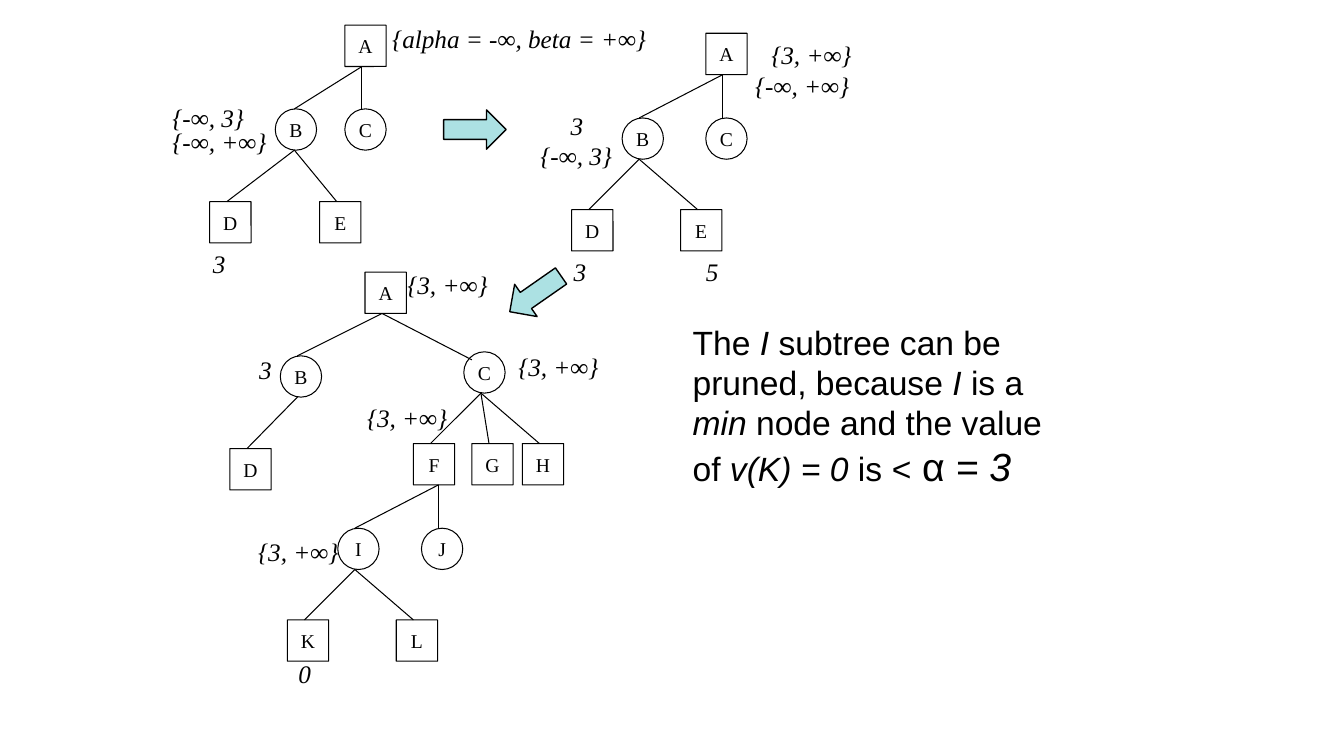
"""Builds a slide that walks through alpha-beta pruning on three game trees."""
from lxml import etree
from pptx import Presentation
from pptx.dml.color import RGBColor
from pptx.enum.shapes import MSO_CONNECTOR, MSO_SHAPE
from pptx.enum.text import MSO_ANCHOR, MSO_AUTO_SIZE, PP_ALIGN
from pptx.oxml.ns import qn
from pptx.util import Inches, Pt

SQUARE, CIRCLE = MSO_SHAPE.ROUNDED_RECTANGLE, MSO_SHAPE.OVAL
ARROW, STRAIGHT = MSO_SHAPE.RIGHT_ARROW, MSO_CONNECTOR.STRAIGHT
CENTER, MIDDLE = PP_ALIGN.CENTER, MSO_ANCHOR.MIDDLE
GROW = MSO_AUTO_SIZE.SHAPE_TO_FIT_TEXT

COLORS = {"ink": "000000", "arrow": "ACE1E3"}
SERIF, SANS = "Times New Roman", "Arial"
NODE, DOCK, INDENT = 0.41, 0.17, 0.04
CIRCLES = "BCIJ"

# name: (left, top, parent)
TREES = [
    {"A": (3.42, 0.25, None), "C": (3.42, 1.08, "A"), "B": (2.73, 1.08, "A"),
     "E": (3.17, 2.0, "B"), "D": (2.08, 2.0, "B")},
    {"A": (7.0, 0.33, None), "C": (7.0, 1.17, "A"), "B": (6.17, 1.17, "A"),
     "E": (6.75, 2.08, "B"), "D": (5.67, 2.08, "B")},
    {"A": (3.62, 2.7, None), "C": (4.6, 3.49, "A"), "B": (2.78, 3.53, "A"),
     "D": (2.28, 4.45, "B"), "H": (5.18, 4.4, "C"), "F": (4.1, 4.4, "C"),
     "G": (4.68, 4.4, "C"), "J": (4.18, 5.24, "F"), "I": (3.35, 5.24, "F"),
     "L": (3.93, 6.15, "I"), "K": (2.85, 6.15, "I")},
]
ENTRY_SHIFTS = {(0, "B"): (0.19, 0), (2, "C"): (0.08, 0.08)}
EXIT_SHIFTS = {(0, "B"): 0.19, (2, "F"): 0.25}

LABELS = [
    ("{alpha = -∞, beta = +∞}", 3.85, 0.23), ("{-∞, 3}", 1.67, 1.02),
    ("{-∞, +∞}", 1.67, 1.25), ("3", 2.07, 2.46),
    ("{3, +∞}", 7.61, 0.39), ("{-∞, +∞}", 7.45, 0.7),
    ("3", 5.62, 1.09), ("{-∞, 3}", 5.32, 1.39),
    ("3", 5.65, 2.54), ("5", 6.96, 2.54),
    ("{3, +∞}", 4.0, 2.67), ("3", 2.53, 3.52), ("{3, +∞}", 5.1, 3.49),
    ("{3, +∞}", 3.6, 3.99), ("{3, +∞}", 2.52, 5.32), ("0", 2.92, 6.53),
]
LABEL_WIDTHS = {"{3, +∞}": 0.92, "{-∞, 3}": 0.84, "{-∞, +∞}": 1.06,
                "{alpha = -∞, beta = +∞}": 2.75}
DIGIT_WIDTH = 0.22
ARROWS = [(4.4, 1.09, 0), (5.0, 2.72, 145.1)]

# text, size, italic
CONCLUSION = [
    ("The", 24, False), (" I ", 24, True),
    ("subtree can be pruned, because ", 24, False), ("I", 24, True),
    (" is a ", 24, False), ("min ", 24, True),
    ("node and the value of", 24, False), (" v(K) = 0 ", 24, True),
    ("is", 24, False), (" <", 24, True), (" α", 28, False), (" = 3", 28, True),
]


def color(name):
    return RGBColor.from_string(COLORS[name])


def style_font(font, name, size, italic=False):
    font.name, font.size, font.italic = name, Pt(size), italic
    font.color.rgb = color("ink")


def set_frame(frame, wrap=False):
    frame.margin_left = frame.margin_right = Inches(INDENT)
    frame.margin_top = frame.margin_bottom = 0
    frame.word_wrap = wrap


def add_outline(page, kind, left, top, width, height, weight):
    shape = page.shapes.add_shape(kind, Inches(left), Inches(top), Inches(width), Inches(height))
    shape.shadow.inherit = False
    shape.line.color.rgb = color("ink")
    shape.line.width = Pt(weight)
    return shape


def add_node(page, name, left, top):
    kind = CIRCLE if name in CIRCLES else SQUARE
    node = add_outline(page, kind, left, top, NODE, NODE, 0.75)
    node.fill.background()
    if kind == SQUARE:
        node.adjustments[0] = 0.004
    set_frame(node.text_frame)
    node.text_frame.vertical_anchor = MIDDLE
    para = node.text_frame.paragraphs[0]
    para.text, para.alignment = name, CENTER
    style_font(para.font, SERIF, 14)


def add_edge(page, start, end):
    edge = page.shapes.add_connector(STRAIGHT, *map(Inches, start + end))
    edge.line.color.rgb = color("ink")
    edge.line.width = Pt(0.75)
    etree.SubElement(edge._element.spPr, qn("a:effectLst"))


def add_tree(page, index, tree):
    for name, (left, top, parent) in tree.items():
        add_node(page, name, left, top)
        if parent:
            parent_left, parent_top, _ = tree[parent]
            across, down = ENTRY_SHIFTS.get((index, name), (DOCK, 0))
            leave = EXIT_SHIFTS.get((index, parent), DOCK)
            add_edge(page, (parent_left + leave, parent_top + NODE), (left + across, top + down))


def add_label(page, text, left, top):
    width = LABEL_WIDTHS.get(text, DIGIT_WIDTH)
    box = page.shapes.add_textbox(Inches(left), Inches(top), Inches(width), Inches(0.3))
    set_frame(box.text_frame, wrap=True)
    box.text_frame.auto_size = GROW
    para = box.text_frame.paragraphs[0]
    para.text = text
    style_font(para.font, SERIF, 18, True)


def add_conclusion(page):
    box = page.shapes.add_textbox(Inches(6.83), Inches(3.19), Inches(3.76), Inches(1.7))
    set_frame(box.text_frame, wrap=True)
    para = box.text_frame.paragraphs[0]
    for text, size, italic in CONCLUSION:
        span = para.add_run()
        span.text = text
        style_font(span.font, SANS, size, italic)


def main():
    deck = Presentation()
    deck.slide_width, deck.slide_height = Inches(13.33), Inches(7.5)
    page = deck.slides.add_slide(deck.slide_layouts[6])
    add_conclusion(page)
    for index, tree in enumerate(TREES):
        add_tree(page, index, tree)
    for label in LABELS:
        add_label(page, *label)
    for left, top, turn in ARROWS:
        arrow = add_outline(page, ARROW, left, top, 0.62, 0.39, 1)
        arrow.fill.solid()
        arrow.fill.fore_color.rgb = color("arrow")
        arrow.rotation = turn
    deck.save("out.pptx")


if __name__ == "__main__":
    main()
